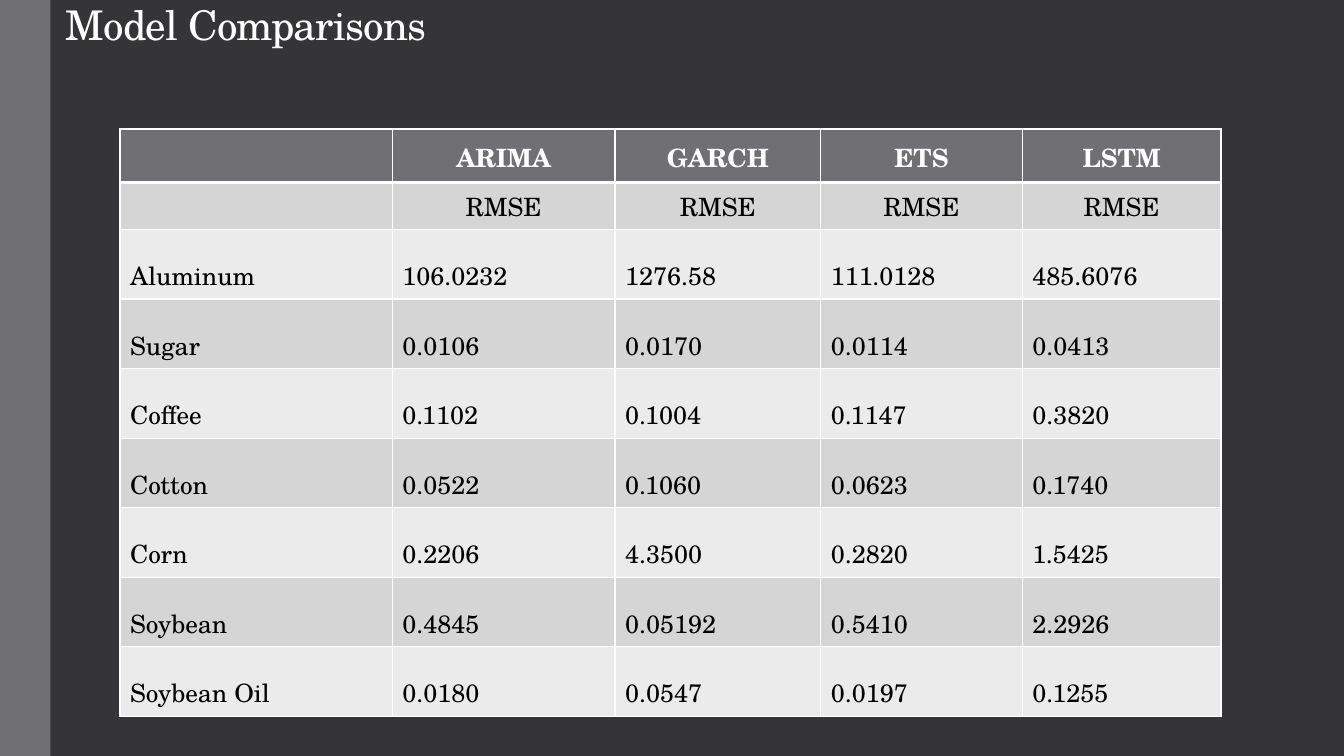
"""Build the Model Comparisons slide with a table of RMSE values."""
import pptx
import pptx.dml.color
import pptx.enum.shapes
import pptx.enum.text
import pptx.oxml
import pptx.oxml.ns
import pptx.util

Inches = pptx.util.Inches
ALIGN = pptx.enum.text.PP_ALIGN
ANCHOR = pptx.enum.text.MSO_ANCHOR

TITLE = "Model Comparisons"
ROWS = [
    ("", "ARIMA", "GARCH", "ETS", "LSTM"),
    ("", "RMSE", "RMSE", "RMSE", "RMSE"),
    ("Aluminum", "106.0232", "1276.58", "111.0128", "485.6076"),
    ("Sugar", "0.0106", "0.0170", "0.0114", "0.0413"),
    ("Coffee", "0.1102", "0.1004", "0.1147", "0.3820"),
    ("Cotton", "0.0522", "0.1060", "0.0623", "0.1740"),
    ("Corn", "0.2206", "4.3500", "0.2820", "1.5425"),
    ("Soybean", "0.4845", "0.05192", "0.5410", "2.2926"),
    ("Soybean Oil", "0.0180", "0.0547", "0.0197", "0.1255"),
]
COLUMN_WIDTHS = [2.7, 2.21, 2.04, 2, 1.97]
ROW_HEIGHTS = [0.53, 0.4] + [0.69] * (len(ROWS) - 2)
FONT = "TeX Gyre Schola"
BACKGROUND, GRAY, WHITE, BLACK = "353537", "6F6F74", "FFFFFF", "000000"
BANDS = ["EBEBEB", "D5D5D6"]


def rgb(value):
    return pptx.dml.color.RGBColor.from_string(value)


def paint(fill, color):
    fill.solid()
    fill.fore_color.rgb = rgb(color)


def set_all(target, values):
    for name, value in values.items():
        setattr(target, name, value)


def write(para, text, size, color, bold=False):
    span = para.add_run()
    span.text = text
    set_all(span.font, {"name": FONT, "size": pptx.util.Pt(size), "bold": bold})
    span.font.color.rgb = rgb(color)
    return span


def add_borders(cell, widths):
    properties = cell._tc.get_or_add_tcPr()
    for index, (side, points) in enumerate(widths.items()):
        line = pptx.oxml.parse_xml(
            f'<a:ln{side} {pptx.oxml.ns.nsdecls("a")} w="{pptx.util.Pt(points)}">'
            f'<a:solidFill><a:srgbClr val="{WHITE}"/></a:solidFill></a:ln{side}>')
        properties.insert(index, line)


def add_title(page):
    title = page.shapes.title
    set_all(title, {"left": Inches(0.55), "top": Inches(0),
                    "width": Inches(4.31), "height": Inches(0.54)})
    set_all(title.text_frame, {"vertical_anchor": ANCHOR.BOTTOM, "word_wrap": True,
                               "auto_size": pptx.enum.text.MSO_AUTO_SIZE.NONE})
    para = title.text_frame.paragraphs[0]
    set_all(para, {"alignment": ALIGN.LEFT, "line_spacing": 0.85})
    span = write(para, TITLE, 29.2, WHITE)
    span.font._element.set("spc", "-50")


def add_side_bar(page):
    bar = page.shapes.add_shape(pptx.enum.shapes.MSO_SHAPE.RECTANGLE,
                                0, 0, Inches(0.5), Inches(7.5))
    bar.shadow.inherit = False
    paint(bar.fill, GRAY)
    bar.line.fill.background()


def add_comparison_table(page):
    table = page.shapes.add_table(
        len(ROWS), len(COLUMN_WIDTHS), Inches(1.19), Inches(1.28),
        Inches(sum(COLUMN_WIDTHS)), Inches(sum(ROW_HEIGHTS))).table
    for column, width in zip(table.columns, COLUMN_WIDTHS):
        column.width = Inches(width)
    for row, height in zip(table.rows, ROW_HEIGHTS):
        row.height = Inches(height)
    for row_index, values in enumerate(ROWS):
        header = row_index == 0
        for column_index, text in enumerate(values):
            cell = table.cell(row_index, column_index)
            cell.vertical_anchor = ANCHOR.BOTTOM
            paint(cell.fill, GRAY if header else BANDS[row_index % 2])
            add_borders(cell, {"L": 1, "R": 1, "T": 3 if row_index == 1 else 1,
                               "B": 3 if header else 1})
            if text:
                para = cell.text_frame.paragraphs[0]
                para.alignment = ALIGN.CENTER if row_index < 2 else ALIGN.LEFT
                write(para, text, 18, WHITE if header else BLACK, header)


def main():
    deck = pptx.Presentation()
    set_all(deck, {"slide_width": Inches(13.33), "slide_height": Inches(7.5)})
    page = deck.slides.add_slide(deck.slide_layouts.get_by_name("Title Only"))
    paint(page.background.fill, BACKGROUND)
    add_side_bar(page)
    add_comparison_table(page)
    add_title(page)
    deck.save("out.pptx")


if __name__ == "__main__":
    main()
